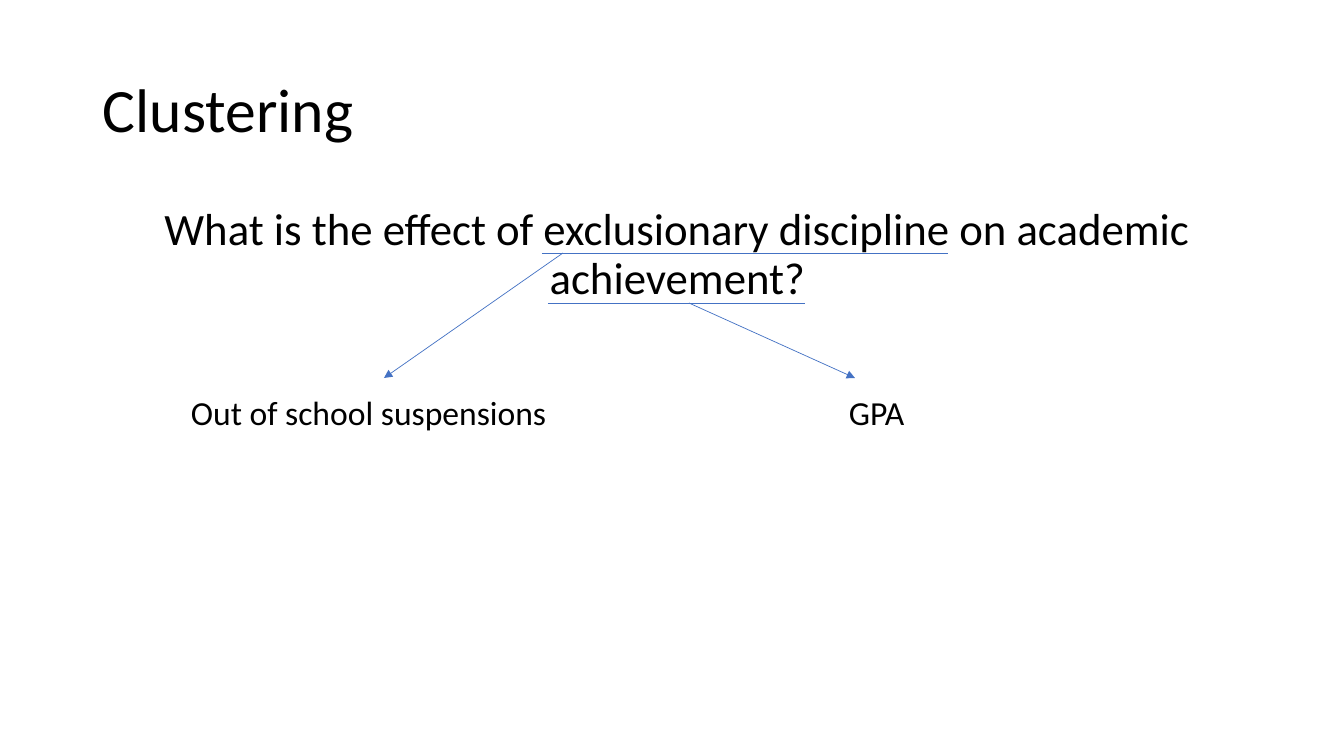
"""Build the Clustering slide: a question whose key terms point to their measures."""
from dataclasses import dataclass

from lxml.etree import SubElement as Sub
from pptx import Presentation
from pptx.dml.color import RGBColor as Rgb
from pptx.enum.shapes import MSO_CONNECTOR as Conn
from pptx.enum.text import MSO_ANCHOR as Anchor, PP_ALIGN as Align
from pptx.oxml.ns import qn
from pptx.util import Emu, Pt

SCALE = 914400 / 100.8
FONT = "Calibri"
HUES = {"text": "000000", "line": "4472C4"}


@dataclass
class Label:
    text: str
    left: int
    top: int
    width: int
    height: int
    size: int
    align: Align = Align.LEFT
    anchor: Anchor = Anchor.TOP


@dataclass
class Line:
    start: tuple[int, int]
    end: tuple[int, int]
    arrow: bool = False


def px(size: int) -> Emu:
    return Emu(round(size * SCALE))


def write(slide, label: Label) -> None:
    box = slide.shapes.add_textbox(
        px(label.left), px(label.top), px(label.width), px(label.height))
    frame = box.text_frame
    frame.word_wrap = True
    frame.vertical_anchor = label.anchor
    para = frame.paragraphs[0]
    para.alignment = label.align
    para.line_spacing = 0.9
    run = para.add_run()
    run.text = label.text
    run.font.name = FONT
    run.font.size = Pt(label.size)
    run.font.color.rgb = Rgb.from_string(HUES["text"])


def draw(slide, line: Line) -> None:
    link = slide.shapes.add_connector(
        Conn.STRAIGHT, *map(px, line.start), *map(px, line.end))
    link.line.width = Pt(0.5)
    link.line.color.rgb = Rgb.from_string(HUES["line"])
    props = link._element.spPr
    if line.arrow:
        Sub(props.find(qn("a:ln")), qn("a:tailEnd"), type="triangle")
    Sub(props, qn("a:effectLst"))


LABELS = [
    Label("Clustering", 93, 40, 1159, 146, 44, anchor=Anchor.MIDDLE),
    Label("What is the effect of exclusionary discipline on academic achievement?",
          81, 202, 1193, 110, 32, Align.CENTER),
    Label("Out of school suspensions", 181, 392, 400, 47, 24),
    Label("GPA", 839, 392, 120, 47, 24),
]
LINES = [
    Line((542, 253), (948, 253)),
    Line((548, 303), (805, 303)),
    Line((563, 253), (384, 378), True),
    Line((689, 303), (855, 378), True),
]

deck = Presentation()
deck.slide_width, deck.slide_height = px(1344), px(756)
slide = deck.slides.add_slide(deck.slide_layouts[6])
for label in LABELS:
    write(slide, label)
for line in LINES:
    draw(slide, line)
deck.save("out.pptx")
